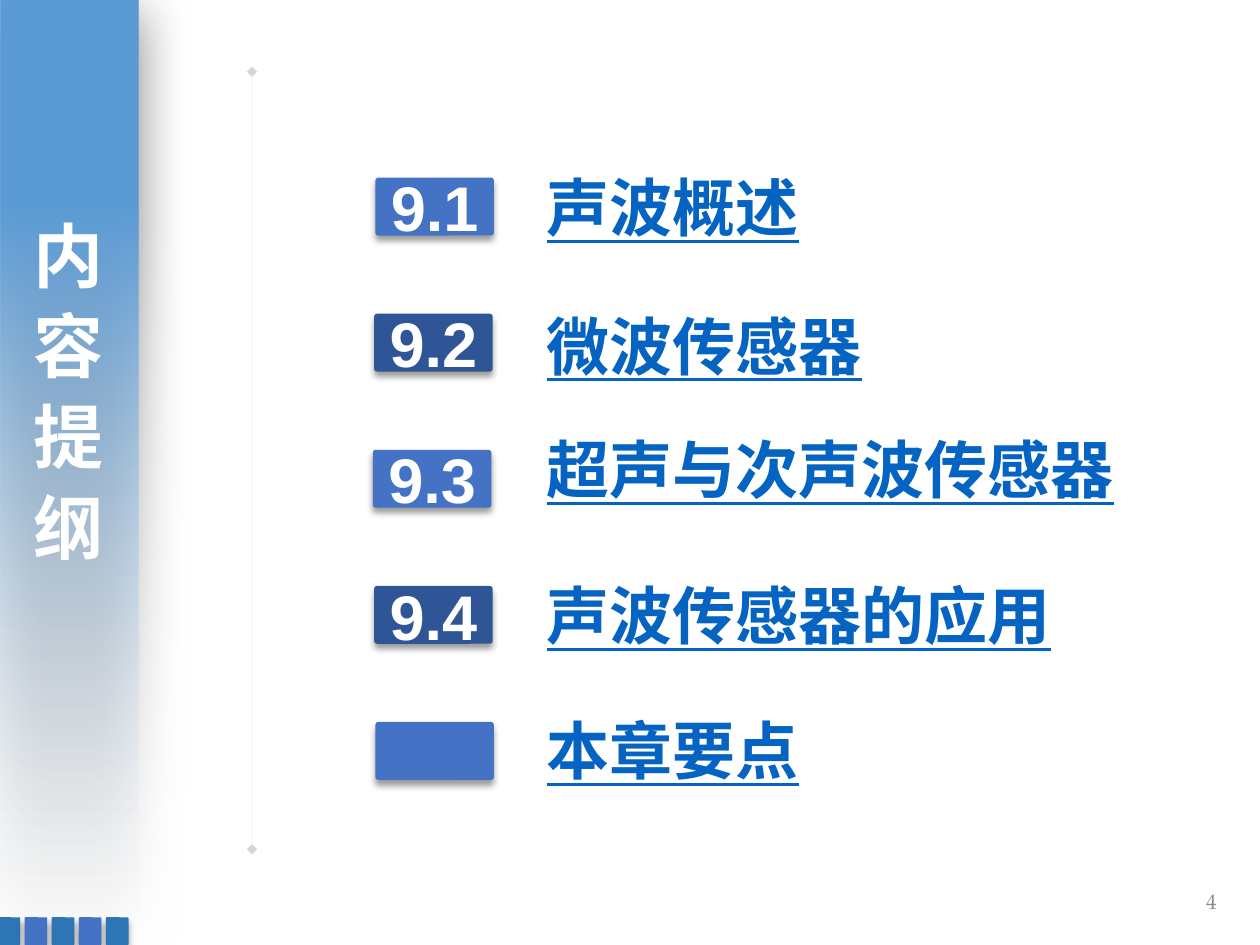
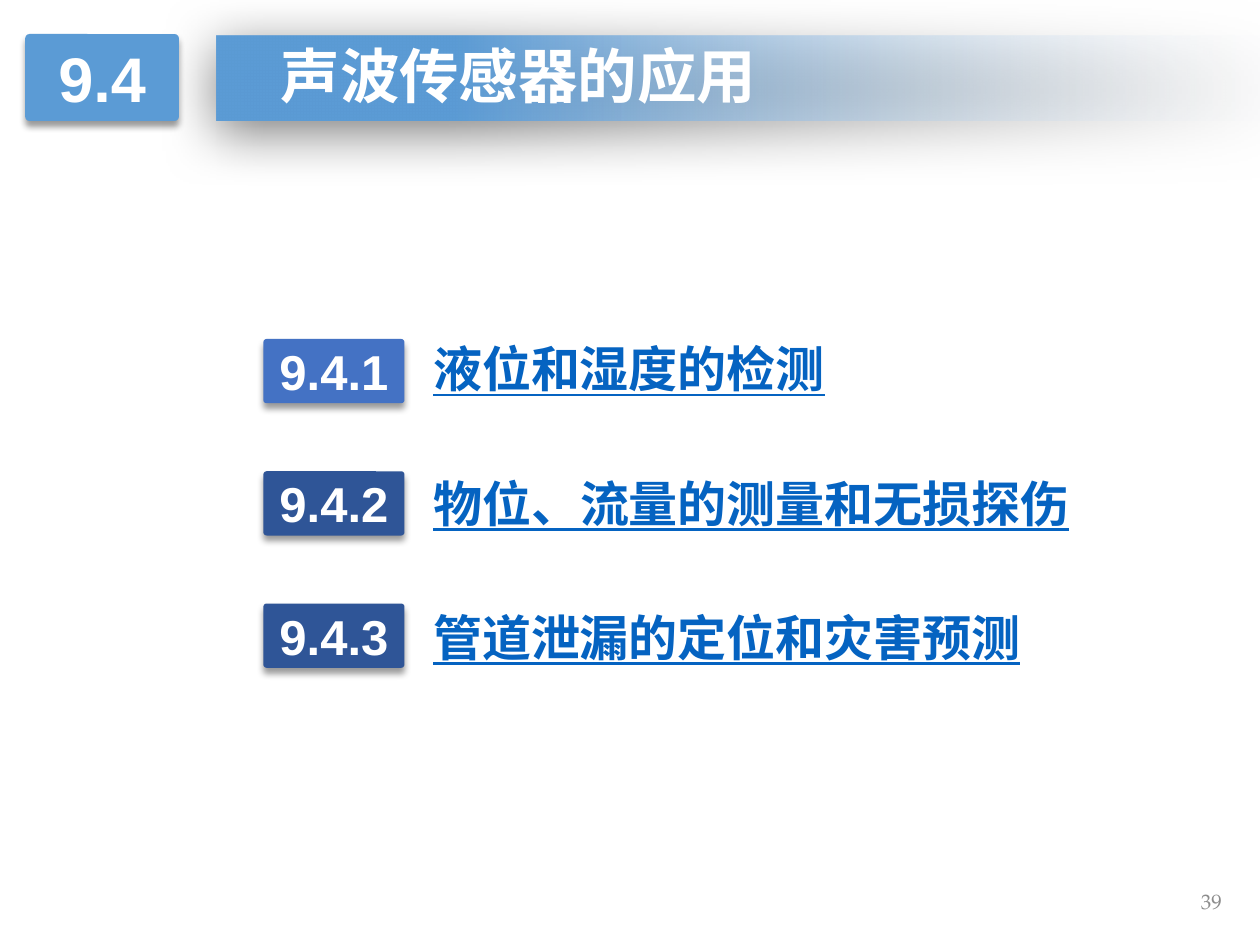
from lxml.etree import SubElement
from pptx import Presentation
from pptx.dml.color import RGBColor
from pptx.enum.shapes import MSO_CONNECTOR, MSO_SHAPE
from pptx.enum.text import MSO_ANCHOR, MSO_AUTO_SIZE, PP_ALIGN
from pptx.oxml.ns import qn
from pptx.util import Inches, Pt

TOPICS = [
    ("9.1", "声波概述", 1.29),
    ("9.2", "微波传感器", 2.39),
    ("9.3", "超声与次声波传感器", 3.37),
    ("9.4", "声波传感器的应用", 4.53),
    ("", "本章要点", 5.6),
]
PARTS = [
    ("9.4.1", "液位和湿度的检测"),
    ("9.4.2", "物位、流量的测量和无损探伤"),
    ("9.4.3", "管道泄漏的定位和灾害预测"),
]
SIDE = "内容提纲"
HEAD = ("9.4", "声波传感器的应用")
PAGES = ("4", "39")

WIDE, HIGH = 10, 7.5
SKY = RGBColor(0x5B, 0x9B, 0xD5)
PALE = RGBColor(0xF6, 0xF8, 0xFC)
BLUE = RGBColor(0x44, 0x72, 0xC4)
NAVY = RGBColor(0x2F, 0x55, 0x97)
TEAL = RGBColor(0x2E, 0x75, 0xB6)
LINK = RGBColor(0x05, 0x63, 0xC1)
WHITE = RGBColor(0xFF, 0xFF, 0xFF)
GREY = RGBColor(0x8C, 0x8C, 0x8C)
RULE = RGBColor(0x80, 0x80, 0x80)
SANS, HAN, SERIF = "Arial", "Noto Sans CJK SC", "TeX Gyre Pagella"
SOFT = (40, 4, 3, 90)
DEEP = (50, 31, 6, 97)


def fade(color, share):
    SubElement(color, qn("a:alpha"), val=str(share * 1000))


def shade(shape, look):
    alpha, blur, dist, angle = look
    shape.shadow.inherit = False
    glow = SubElement(
        shape._element.spPr.find(qn("a:effectLst")), qn("a:outerShdw"),
        blurRad=str(Pt(blur)), dist=str(Pt(dist)), dir=str(angle * 60000),
        algn="ctr", rotWithShape="0")
    fade(SubElement(glow, qn("a:srgbClr"), val="000000"), alpha)


def write(frame, text, size, face, color, bold=True, line=False,
          align=PP_ALIGN.LEFT):
    para = frame.paragraphs[0]
    para.alignment = align
    run = para.add_run()
    run.text = text
    font = run.font
    font.size, font.bold, font.underline = Pt(size), bold, line
    font.color.rgb = color
    font.name = face
    SubElement(run._r.rPr, qn("a:ea"), typeface=face)
    return run


def label(slide, box, text, size, face, color, wrap=False, **style):
    frame = slide.shapes.add_textbox(*map(Inches, box)).text_frame
    frame.word_wrap = wrap
    frame.auto_size = MSO_AUTO_SIZE.SHAPE_TO_FIT_TEXT
    return frame, write(frame, text, size, face, color, **style)


def badge(slide, box, color, text="", size=36):
    shape = slide.shapes.add_shape(
        MSO_SHAPE.ROUNDED_RECTANGLE, *map(Inches, box))
    shape.adjustments[0] = 0.05
    shape.fill.solid()
    shape.fill.fore_color.rgb = color
    shape.line.fill.background()
    shade(shape, SOFT)
    if text:
        frame = shape.text_frame
        frame.vertical_anchor = MSO_ANCHOR.MIDDLE
        write(frame, text, size, SANS, WHITE, align=PP_ALIGN.CENTER)


def band(slide, box, turn=0):
    shape = slide.shapes.add_shape(MSO_SHAPE.RECTANGLE, *map(Inches, box))
    shape.rotation = turn
    shape.line.fill.background()
    fill = shape.fill
    fill.gradient()
    fill.gradient_angle = 180
    for stop, spot, color in zip(fill.gradient_stops, (0, 0.78), (PALE, SKY)):
        stop.position = spot
        stop.color.rgb = color
    fade(next(shape._element.spPr.iter(qn("a:srgbClr"))), 0)
    shade(shape, DEEP)


def rail(slide, left, top, foot):
    line = slide.shapes.add_connector(
        MSO_CONNECTOR.STRAIGHT, *map(Inches, (left, top, left, foot)))
    line.line.width = Pt(0.25)
    line.line.color.rgb = RULE
    fade(next(line._element.spPr.iter(qn("a:srgbClr"))), 33)
    for end in ("a:headEnd", "a:tailEnd"):
        SubElement(line.line._get_or_add_ln(), qn(end), type="diamond")
    SubElement(line._element.spPr, qn("a:effectLst"))


def number(slide, text):
    frame, _ = label(slide, (WIDE - 0.69, HIGH - 0.55, 0.61, 0.4), text, 12,
                     SERIF, GREY, wrap=True, bold=False,
                     align=PP_ALIGN.CENTER)
    frame.auto_size = MSO_AUTO_SIZE.NONE
    frame.vertical_anchor = MSO_ANCHOR.MIDDLE


def outline(slide):
    rail(slide, WIDE / 5, 0.57, 6.74)
    long, thick = 7.46, 1.1
    band(slide, ((thick - long) / 2, (long - thick) / 2, long, thick), 90)
    for i in range(5):
        badge(slide, (0.215 * i - 0.02, HIGH - 0.22, 0.18, 0.22),
              (TEAL, BLUE)[i % 2])
    for i, (code, name, top) in enumerate(TOPICS):
        left = 2.96 + 0.01 * abs(i - 2)
        badge(slide, (left, 1.41 + 1.08 * i, 0.94, 0.46),
              (BLUE, NAVY)[i % 2], code)
        label(slide, (4.24, top, 0.2 + 0.51 * len(name), 0.71), name, 36,
              HAN, LINK, line=True)
    frame, run = label(slide, (0.11, 1.71, 0.82, 3.15), SIDE, 40, HAN,
                       WHITE, wrap=True)
    frame.margin_left = frame.margin_right = Inches(0.07)
    frame.margin_top = frame.margin_bottom = Inches(0.04)
    frame._txBody.bodyPr.set("vert", "eaVert")
    run._r.rPr.set("spc", "1200")


def section(slide):
    for i, (code, name) in enumerate(PARTS):
        badge(slide, (2.09, 2.69 + 1.05 * i, 1.12, 0.51),
              NAVY if i else BLUE, code, 28)
        label(slide, (3.34, 2.64 + 1.065 * i, 0.2 + 0.395 * len(name), 0.57),
              name, 28, HAN, LINK, line=True)
    code, name = HEAD
    band(slide, (1.72, 0.28, 8.57, 0.68))
    badge(slide, (0.2, 0.27, 1.22, 0.69), SKY, code)
    label(slide, (2.1, 0.26, 4.03, 0.67), name, 34, HAN, WHITE,
          align=PP_ALIGN.CENTER)


def main():
    deck = Presentation()
    deck.slide_width, deck.slide_height = Inches(WIDE), Inches(HIGH)
    for draw, page in zip((outline, section), PAGES):
        slide = deck.slides.add_slide(deck.slide_layouts[6])
        draw(slide)
        number(slide, page)
    deck.save("out.pptx")


if __name__ == "__main__":
    main()
